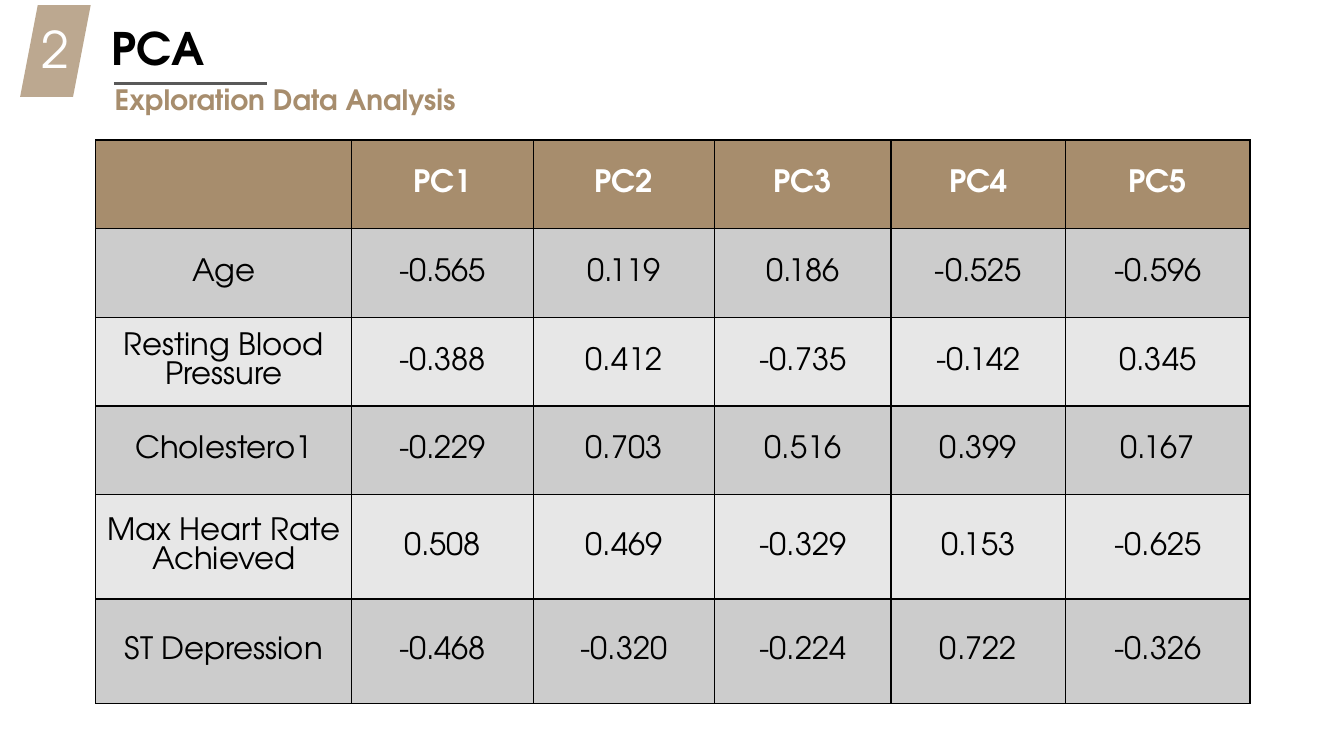
import dataclasses
import typing

import lxml.etree
import pptx
import pptx.dml.color
import pptx.enum.shapes
import pptx.enum.text
import pptx.oxml.ns
import pptx.util

FONT = "TeX Gyre Adventor"
TAN, PALE_TAN, GRAY = "A78D6D", "BCA890", "595959"
BLACK, WHITE = "000000", "FFFFFF"
BANDS = ("CCCCCC", "E7E7E7")
ALIGN = pptx.enum.text.PP_ALIGN
ANCHOR = pptx.enum.text.MSO_ANCHOR
SHAPE = pptx.enum.shapes.MSO_SHAPE

prs = pptx.Presentation()
prs.slide_width = pptx.util.Inches(13.33)
prs.slide_height = pptx.util.Inches(7.5)


@dataclasses.dataclass(frozen=True)
class Box:
    """Left, top, width and height as percentages of the slide."""
    left: float
    top: float
    width: float
    height: float

    def emu(self) -> tuple[int, int, int, int]:
        return across(self.left), down(self.top), across(self.width), down(self.height)


@dataclasses.dataclass(frozen=True)
class Label:
    text: str
    box: Box
    size: float
    color: str
    bold: bool = False
    align: typing.Any = ALIGN.LEFT
    insets: tuple[float, float] = (0.07, 0.04)
    wrap: bool = True
    spacing: float = 0


TITLE = Label("PCA", Box(7.8, 2.27, 10.35, 8.13), 32, BLACK, bold=True)
SUBTITLE = Label("Exploration Data Analysis", Box(7.8, 10.27, 27.16, 5.87), 20, TAN,
                 bold=True, insets=(0.1, 0.05), wrap=False)
NUMBER = Label("2", Box(2.1, 1.87, 4.13, 9.2), 36, WHITE, align=ALIGN.CENTER, spacing=2.2)
BADGE = Box(1.5, 0.67, 5.25, 12.13)
RULE = Box(8.48, 11.07, 11.4, 0)

TABLE_LEFT, TABLE_TOP = 7.13, 18.53
COLUMNS = (19.05, 13.5, 13.5, 13.13, 12.98, 13.73)
ROWS = (11.73,) * 4 + (13.8,) * 2
LOADINGS = (
    ("", "PC1", "PC2", "PC3", "PC4", "PC5"),
    ("Age", "-0.565", "0.119", "0.186", "-0.525", "-0.596"),
    ("Resting Blood Pressure", "-0.388", "0.412", "-0.735", "-0.142", "0.345"),
    ("Cholestero1", "-0.229", "0.703", "0.516", "0.399", "0.167"),
    ("Max Heart Rate\nAchieved", "0.508", "0.469", "-0.329", "0.153", "-0.625"),
    ("ST Depression", "-0.468", "-0.320", "-0.224", "0.722", "-0.326"),
)


def across(share: float) -> int:
    return round(prs.slide_width * share / 100)


def down(share: float) -> int:
    return round(prs.slide_height * share / 100)


def rgb(color: str) -> pptx.dml.color.RGBColor:
    return pptx.dml.color.RGBColor.from_string(color)


def set_all(obj: typing.Any, values: dict[str, typing.Any]) -> None:
    for name, value in values.items():
        setattr(obj, name, value)


def margins(x: float, y: float) -> dict[str, int]:
    x, y = pptx.util.Inches(x), pptx.util.Inches(y)
    return {"margin_left": x, "margin_right": x, "margin_top": y, "margin_bottom": y}


def write(tf: typing.Any, text: str, size: float, color: str, bold: bool,
          align: typing.Any) -> None:
    tf.text = text
    for p in tf.paragraphs:
        p.alignment = align
        for r in p.runs:
            set_all(r.font, {"name": FONT, "size": pptx.util.Pt(size), "bold": bold})
            r.font.color.rgb = rgb(color)


def format_label(sp: typing.Any, label: Label) -> None:
    sp.left, sp.top, sp.width, sp.height = label.box.emu()
    tf = sp.text_frame
    write(tf, label.text, label.size, label.color, label.bold, label.align)
    set_all(tf, margins(*label.insets) | {
        "word_wrap": label.wrap,
        "vertical_anchor": ANCHOR.TOP,
        "auto_size": pptx.enum.text.MSO_AUTO_SIZE.SHAPE_TO_FIT_TEXT,
    })
    if label.spacing:
        r = tf.paragraphs[0].runs[0]
        r.font._element.set("spc", str(round(label.spacing * 100)))


def add_borders(cell: typing.Any) -> None:
    tc_pr = cell._tc.get_or_add_tcPr()
    qn = pptx.oxml.ns.qn
    for side in ("a:lnL", "a:lnR", "a:lnT", "a:lnB"):
        ln = lxml.etree.SubElement(tc_pr, qn(side), w=str(pptx.util.Pt(1)))
        fill = lxml.etree.SubElement(ln, qn("a:solidFill"))
        lxml.etree.SubElement(fill, qn("a:srgbClr"), val=BLACK)


def add_loadings(s: typing.Any) -> None:
    box = Box(TABLE_LEFT, TABLE_TOP, sum(COLUMNS), sum(ROWS))
    table = s.shapes.add_table(len(ROWS), len(COLUMNS), *box.emu()).table
    for column, share in zip(table.columns, COLUMNS):
        column.width = across(share)
    for row, share in zip(table.rows, ROWS):
        row.height = down(share)
    for i, values in enumerate(LOADINGS):
        header = i == 0
        for j, value in enumerate(values):
            cell = table.cell(i, j)
            add_borders(cell)
            cell.fill.solid()
            cell.fill.fore_color.rgb = rgb(TAN if header else BANDS[(i - 1) % 2])
            set_all(cell, margins(0.08, 0.04) | {"vertical_anchor": ANCHOR.MIDDLE})
            write(cell.text_frame, value, 22, WHITE if header else BLACK, header, ALIGN.CENTER)


def add_badge(s: typing.Any) -> None:
    group = s.shapes.add_group_shape()
    sp = group.shapes.add_shape(SHAPE.PARALLELOGRAM, *BADGE.emu())
    sp.shadow.inherit = False
    sp.fill.solid()
    sp.fill.fore_color.rgb = rgb(PALE_TAN)
    sp.line.fill.background()
    format_label(group.shapes.add_textbox(*NUMBER.box.emu()), NUMBER)


def add_rule(s: typing.Any) -> None:
    left, top, width, _ = RULE.emu()
    line = s.shapes.add_connector(pptx.enum.shapes.MSO_CONNECTOR.STRAIGHT,
                                  left, top, left + width, top)
    line.line.color.rgb = rgb(GRAY)
    line.line.width = pptx.util.Pt(2.25)
    lxml.etree.SubElement(line._element.spPr, pptx.oxml.ns.qn("a:effectLst"))


def main() -> None:
    s = prs.slides.add_slide(prs.slide_layouts[5])

    # Table of component loadings
    add_loadings(s)

    # Heading with its rule, section number and subtitle
    format_label(s.shapes.title, TITLE)
    add_rule(s)
    add_badge(s)
    format_label(s.shapes.add_textbox(*SUBTITLE.box.emu()), SUBTITLE)

    prs.save("out.pptx")


if __name__ == "__main__":
    main()
